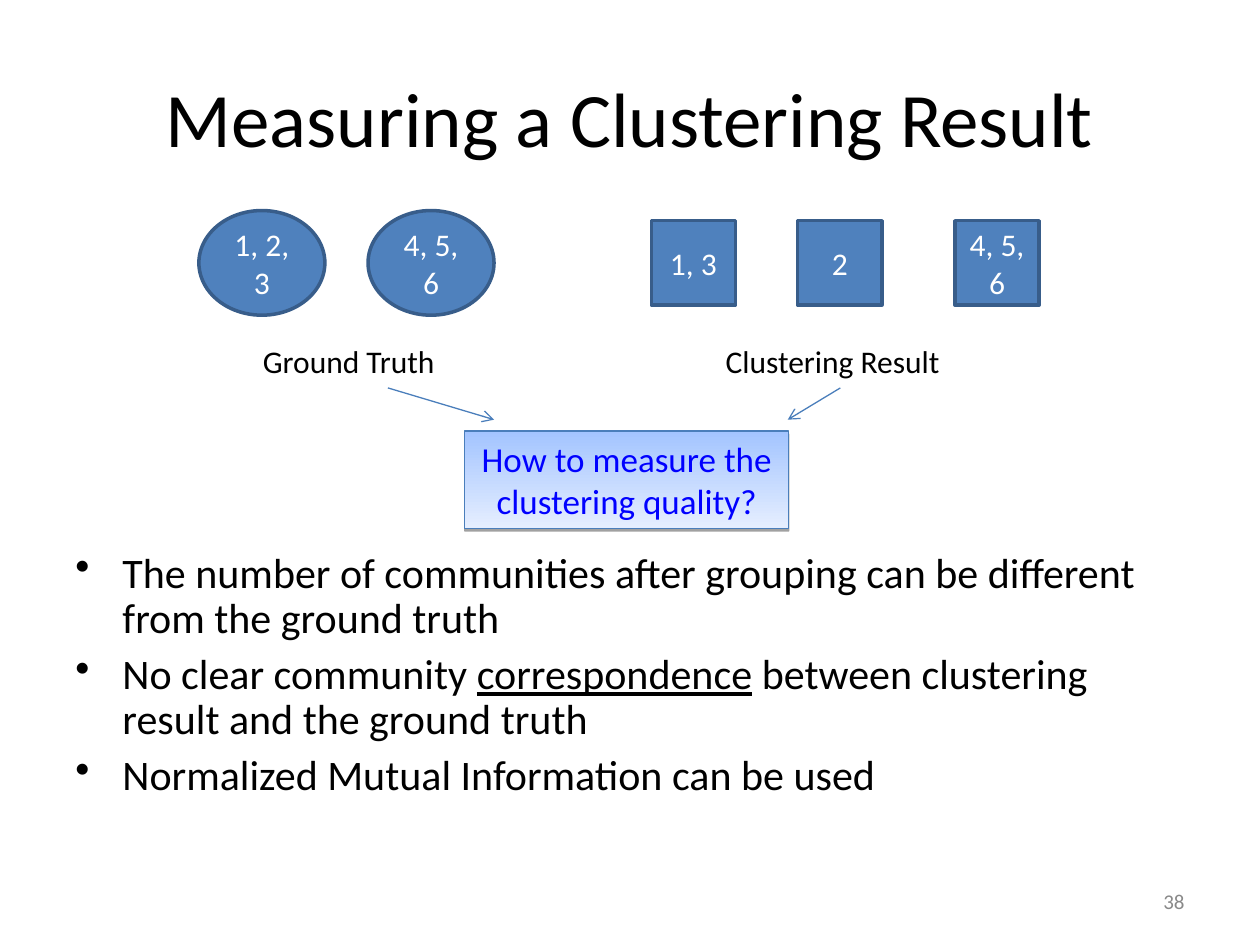
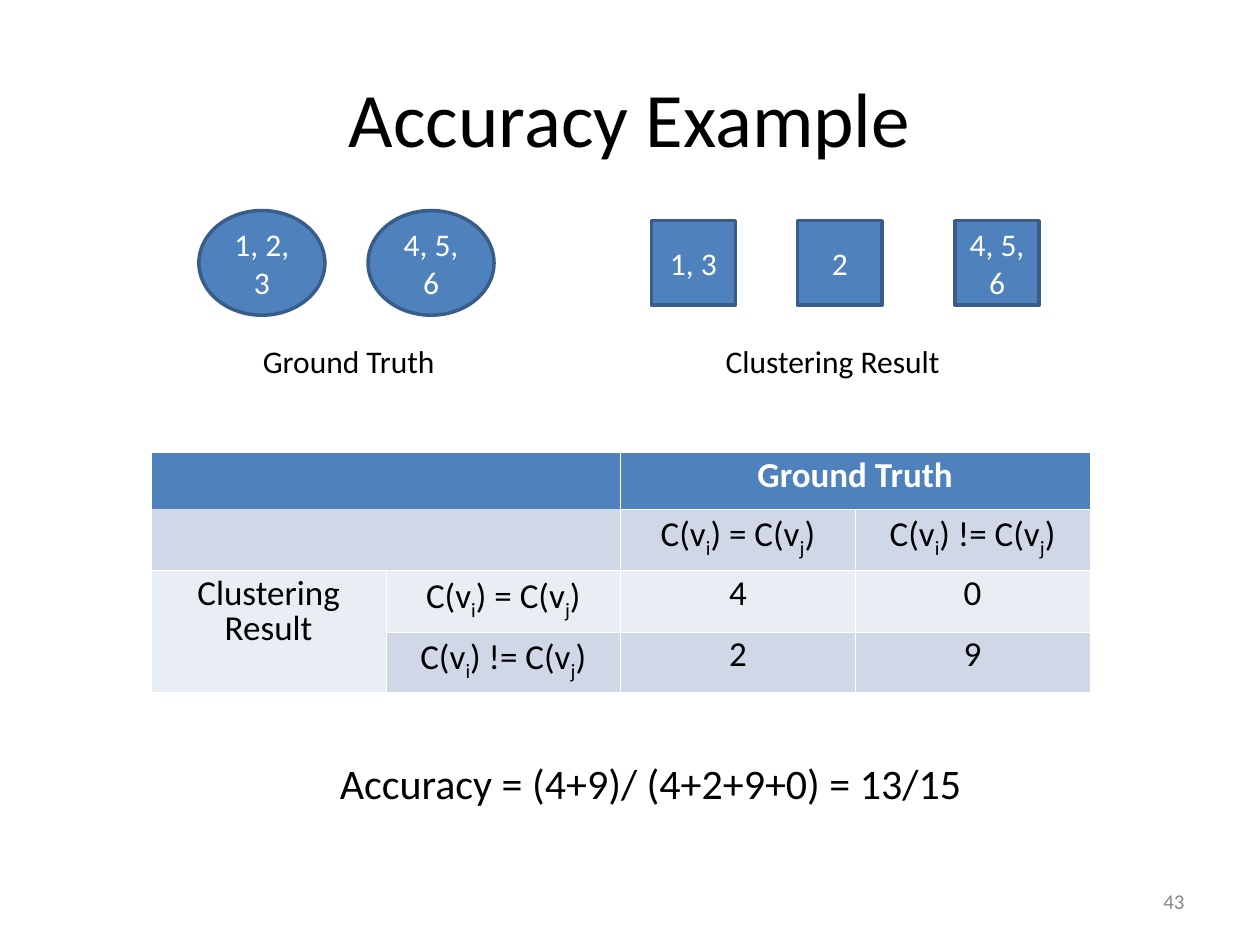
"""Build two slides on measuring a clustering result against the ground truth."""
from dataclasses import dataclass

from lxml import etree
from pptx import Presentation
from pptx import util as u
from pptx.dml.color import RGBColor
from pptx.enum import shapes, text
from pptx.oxml import ns


@dataclass(frozen=True)
class Theme:
    font: str = "Calibri"
    black: str = "000000"
    white: str = "FFFFFF"
    fill: str = "4F81BD"
    outline: str = "385D8A"
    accent_line: str = "4A7EBB"
    question: str = "0000FF"
    question_fill: tuple = ("A3C4FF", "E5EEFF")
    number: str = "898989"
    bands: tuple = ("4F81BD", "D0D8E8", "E9EDF4", "D0D8E8")
    title_size: int = 44
    body_size: int = 24
    table_size: int = 20
    label_size: int = 18
    number_size: int = 12


THEME = Theme()
ALIGN = text.PP_ALIGN
ANCHOR = text.MSO_ANCHOR
SHAPE = shapes.MSO_SHAPE

SUB = {"baseline": "-25000"}
UNDERLINE = {"u": "sng"}
SAME = ["C(v", ("i", SUB), ") = C(v", ("j", SUB), ")"]
DIFFERENT = ["C(v", ("i", SUB), ") != C(v", ("j", SUB), ")"]

TITLES = [("Measuring a Clustering Result", "38"), ("Accuracy Example", "43")]
CLUSTERINGS = [
    {"label": "Ground Truth", "label_box": (5.05, 6.78, 4.01, 1.02),
     "kind": SHAPE.OVAL, "size": (2.54, 2.11),
     "clusters": [("1, 2, 3", 4.01), ("4, 5, 6", 7.42)]},
    {"label": "Clustering Result", "label_box": (14.38, 6.78, 4.85, 1.02),
     "kind": SHAPE.RECTANGLE, "size": (1.7, 1.7),
     "clusters": [("1, 3", 13.13), ("2", 16.08), ("4, 5, 6", 19.25)]},
]
CLUSTER_MIDDLE = 5.3
QUESTION = [["How to measure the"], ["clustering quality?"]]
ARROWS = [(7.82, 7.82, 9.96, 8.46), (16.94, 7.82, 15.88, 8.46)]
BULLETS = [
    ["The number of communities after grouping can be different from the ground truth"],
    ["No clear community ", ("correspondence", UNDERLINE),
     " between clustering result and the ground truth"],
    ["Normalized Mutual Information can be used"],
]
PAIR_COUNTS = [
    [None, None, [["Ground Truth"]], None],
    [None, None, [SAME], [DIFFERENT]],
    [[["Clustering"], ["Result"]], [SAME], [["4"]], [["0"]]],
    [None, [DIFFERENT], [["2"]], [["9"]]],
]
MERGES = [((0, 0), (0, 1)), ((0, 2), (0, 3)), ((1, 0), (1, 1)), ((2, 0), (3, 0))]
ROW_HEIGHTS = [1.14, 1.24, 1.24, 1.22]
COLUMN_WIDTH = 4.73
ACCURACY = "Accuracy = (4+9)/ (4+2+9+0) = 13/15"


def cm(values):
    return [u.Cm(value) for value in values]


def rgb(color):
    return RGBColor.from_string(color)


def apply(target, formats):
    for name, value in formats.items():
        setattr(target, name, value)


def add_xml(parent, tag, **attributes):
    return etree.SubElement(parent, ns.qn(tag), attributes)


def write(frame, paragraphs, size, color, bold=False, bullet=False, **formats):
    for index, runs in enumerate(paragraphs):
        paragraph = frame.paragraphs[0] if index == 0 else frame.add_paragraph()
        if bullet:
            properties = paragraph._p.get_or_add_pPr()
            properties.set("marL", str(u.Cm(0.95)))
            properties.set("indent", str(-u.Cm(0.95)))
            add_xml(properties, "a:buChar", char="•")
            if index:
                paragraph.space_before = u.Pt(6)
        apply(paragraph, formats)
        for item in runs:
            words, attributes = (item, {}) if isinstance(item, str) else item
            run = paragraph.add_run()
            run.text = words
            apply(run.font, {"name": THEME.font, "size": u.Pt(size), "bold": bold})
            run.font.color.rgb = rgb(color)
            for name, value in attributes.items():
                run._r.get_or_add_rPr().set(name, value)


def add_text(slide, box, paragraphs, size, color=THEME.black, wrap=True,
             anchor=ANCHOR.TOP, **formats):
    frame = slide.shapes.add_textbox(*cm(box)).text_frame
    apply(frame, {"word_wrap": wrap, "vertical_anchor": anchor})
    write(frame, paragraphs, size, color, **formats)


def add_box(slide, kind, box, line_color, line_width):
    shape = slide.shapes.add_shape(kind, *cm(box))
    shape.shadow.inherit = False
    shape.line.color.rgb = rgb(line_color)
    shape.line.width = u.Pt(line_width)
    return shape


def add_clusterings(slide):
    for clustering in CLUSTERINGS:
        width, height = clustering["size"]
        for members, left in clustering["clusters"]:
            box = (left, CLUSTER_MIDDLE - height / 2, width, height)
            shape = add_box(slide, clustering["kind"], box, THEME.outline, 2)
            shape.fill.solid()
            shape.fill.fore_color.rgb = rgb(THEME.fill)
            apply(shape.text_frame, {"word_wrap": True, "vertical_anchor": ANCHOR.MIDDLE})
            write(shape.text_frame, [[members]], THEME.label_size, THEME.white,
                  alignment=ALIGN.CENTER)
        add_text(slide, clustering["label_box"], [[clustering["label"]]],
                 THEME.label_size, wrap=False)


def add_question(slide):
    shape = add_box(slide, SHAPE.RECTANGLE, (9.37, 8.69, 6.53, 1.96),
                    THEME.accent_line, 0.75)
    shape.fill.gradient()
    shape.fill.gradient_angle = 270
    for stop, color in zip(shape.fill.gradient_stops, THEME.question_fill):
        stop.color.rgb = rgb(color)
    effects = shape._element.spPr.find(ns.qn("a:effectLst"))
    shadow = add_xml(effects, "a:outerShdw", dist=str(u.Pt(1.6)), dir="5400000",
                     rotWithShape="0")
    color = add_xml(shadow, "a:srgbClr", val=THEME.black)
    add_xml(color, "a:alpha", val="37000")
    apply(shape.text_frame, {"word_wrap": False, "vertical_anchor": ANCHOR.TOP})
    write(shape.text_frame, QUESTION, THEME.table_size, THEME.question,
          alignment=ALIGN.CENTER)


def add_arrow(slide, ends):
    connector = slide.shapes.add_connector(shapes.MSO_CONNECTOR.STRAIGHT, *cm(ends))
    connector.line.color.rgb = rgb(THEME.accent_line)
    connector.line.width = u.Pt(0.75)
    add_xml(connector.line._get_or_add_ln(), "a:tailEnd", type="arrow")
    add_xml(connector._element.spPr, "a:effectLst")


def add_borders(cell, hidden):
    for side in ("lnL", "lnR", "lnT", "lnB"):
        border = add_xml(cell._tc.get_or_add_tcPr(), f"a:{side}", w=str(u.Pt(0.25)))
        if side == hidden:
            add_xml(border, "a:noFill")
        else:
            add_xml(add_xml(border, "a:solidFill"), "a:srgbClr", val=THEME.white)


def add_pair_table(slide):
    columns = len(PAIR_COUNTS[0])
    box = (3.05, 9.12, COLUMN_WIDTH * columns, sum(ROW_HEIGHTS))
    table = slide.shapes.add_table(len(PAIR_COUNTS), columns, *cm(box)).table
    for column in table.columns:
        column.width = u.Cm(COLUMN_WIDTH)
    for start, end in MERGES:
        table.cell(*start).merge(table.cell(*end))
    for row, (cells, height) in enumerate(zip(PAIR_COUNTS, ROW_HEIGHTS)):
        table.rows[row].height = u.Cm(height)
        header = row == 0
        for column, paragraphs in enumerate(cells):
            cell = table.cell(row, column)
            corner = row < 2 and column < 2
            add_borders(cell, ("lnB", "lnT")[row] if corner else None)
            cell.fill.solid()
            cell.fill.fore_color.rgb = rgb(THEME.bands[row])
            write(cell.text_frame, paragraphs or [], THEME.table_size,
                  THEME.white if header else THEME.black, bold=header,
                  alignment=ALIGN.CENTER, line_spacing=0.83)


def add_slide(presentation, title, number):
    slide = presentation.slides.add_slide(presentation.slide_layouts[6])
    add_text(slide, (1.27, 0.76, 22.86, 3.18), [[title]], THEME.title_size,
             anchor=ANCHOR.MIDDLE, alignment=ALIGN.CENTER)
    add_text(slide, (18.21, 17.65, 5.92, 1.02), [[number]], THEME.number_size,
             THEME.number, anchor=ANCHOR.MIDDLE, alignment=ALIGN.RIGHT)
    add_clusterings(slide)
    return slide


def main():
    presentation = Presentation()
    apply(presentation, {"slide_width": u.Cm(25.4), "slide_height": u.Cm(19.05)})
    measuring, example = [add_slide(presentation, *heading) for heading in TITLES]

    add_question(measuring)
    for ends in ARROWS:
        add_arrow(measuring, ends)
    add_text(measuring, (1.27, 11, 22.86, 5.38), BULLETS, THEME.body_size,
             bullet=True, line_spacing=0.9)

    add_pair_table(example)
    add_text(example, (6.6, 15.14, 13.06, 1.27), [[ACCURACY]], THEME.body_size,
             wrap=False)
    presentation.save("out.pptx")


if __name__ == "__main__":
    main()
